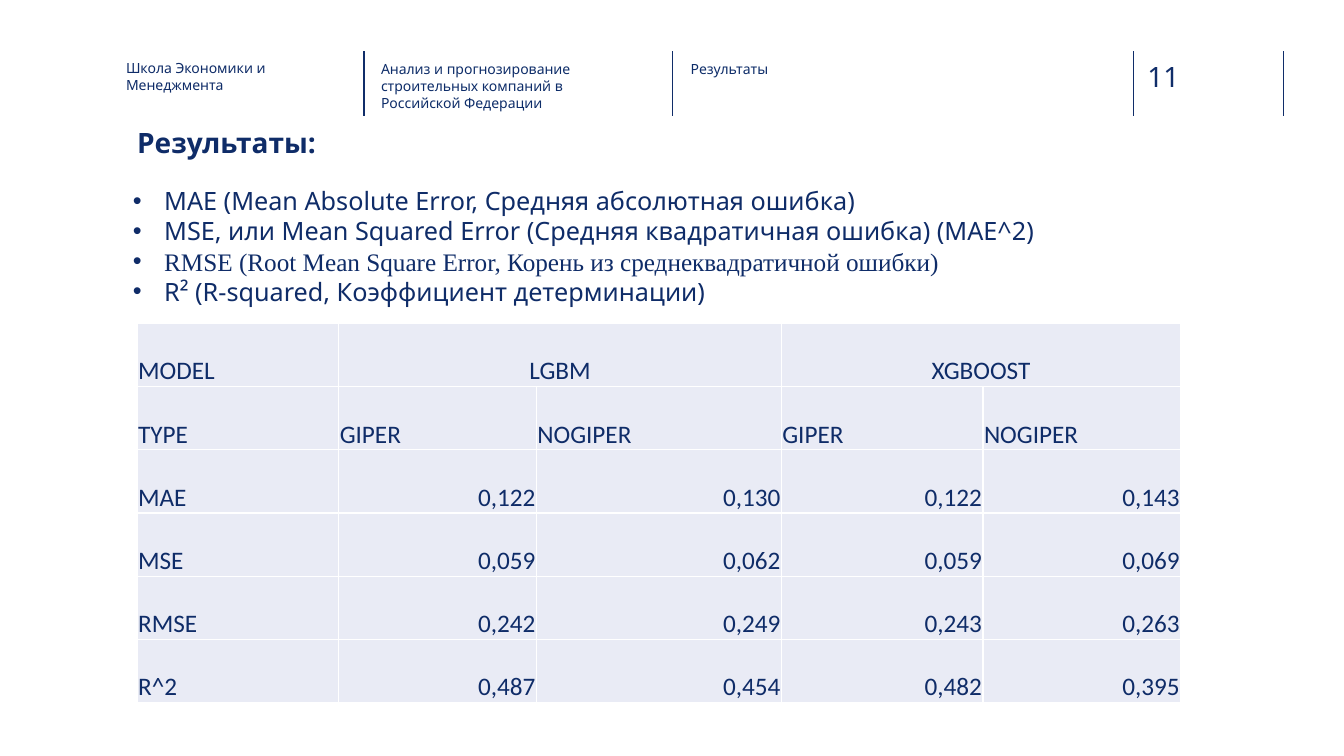
import lxml.etree
import pptx
import pptx.dml.color
import pptx.enum.shapes
import pptx.enum.text
import pptx.oxml.ns
import pptx.util

Inches = pptx.util.Inches
Pt = pptx.util.Pt
ALIGN = pptx.enum.text.PP_ALIGN

NAVY = "0F2C68"
HEADER_NAVY = "0E2D69"
RULE_NAVY = "102D69"
CELL_FILL = "E9EBF5"
WHITE = "FFFFFF"

HEADERS = [
    (1.25, 0.59, 2.08, "Школа Экономики и Менеджмента", NAVY),
    (3.78, 0.6, 2.26, "Анализ и прогнозирование строительных компаний в Российской Федерации",
     HEADER_NAVY),
    (6.85, 0.6, 2.26, "Результаты", HEADER_NAVY),
]
METRICS = [
    ("MAE (Mean Absolute Error, Средняя абсолютная ошибка)", "Noto Sans"),
    ("MSE, или Mean Squared Error (Средняя квадратичная ошибка) (MAE^2)", "Noto Sans"),
    ("RMSE (Root Mean Square Error, Корень из среднеквадратичной ошибки)", "Times New Roman"),
    ("R² (R-squared, Коэффициент детерминации)", "Noto Sans"),
]
COLUMN_WIDTHS = [2, 1.96, 2.43, 2, 1.96]
SCORES = [
    ["MODEL", "LGBM", "", "XGBOOST", ""],
    ["TYPE", "GIPER", "NOGIPER", "GIPER", "NOGIPER"],
    ["MAE", "0,122", "0,130", "0,122", "0,143"],
    ["MSE", "0,059", "0,062", "0,059", "0,069"],
    ["RMSE", "0,242", "0,249", "0,243", "0,263"],
    ["R^2", "0,487", "0,454", "0,482", "0,395"],
]


def rgb(value):
    return pptx.dml.color.RGBColor.from_string(value)


def add_child(parent, tag, **attributes):
    child = lxml.etree.SubElement(parent, pptx.oxml.ns.qn(tag))
    for name, value in attributes.items():
        child.set(name, str(value))
    return child


def style_paragraph(para, text, size, color, font="Noto Sans", bold=False):
    para.text = text
    para.font.size = Pt(size)
    para.font.name = font
    para.font.bold = bold
    para.font.color.rgb = rgb(color)


def add_box(slide, left, top, width, height):
    box = slide.shapes.add_textbox(Inches(left), Inches(top), Inches(width), Inches(height))
    box.text_frame.word_wrap = True
    return box.text_frame


def add_label(slide, left, top, width, height, text, size, color, bold=False):
    frame = add_box(slide, left, top, width, height)
    frame.margin_left = frame.margin_right = frame.margin_top = frame.margin_bottom = 0
    para = frame.paragraphs[0]
    style_paragraph(para, text, size, color, bold=bold)
    para.line_spacing = Pt(size * 1.22)


def add_header_rule(slide, x):
    rule = slide.shapes.add_connector(
        pptx.enum.shapes.MSO_CONNECTOR.STRAIGHT,
        Inches(x), Inches(0.51), Inches(x), Inches(1.15))
    rule.line.color.rgb = rgb(RULE_NAVY)
    rule.line.width = Pt(1)
    add_child(rule._element.spPr, "a:effectLst")


def add_metric_list(slide):
    frame = add_box(slide, 1.22, 1.79, 9.65, 1.31)
    for index, (text, font) in enumerate(METRICS):
        para = frame.paragraphs[0] if index == 0 else frame.add_paragraph()
        style_paragraph(para, text, 18, NAVY, font)
        para.line_spacing = Pt(21.6)
        properties = para._p.get_or_add_pPr()
        properties.set("marL", str(Inches(0.31)))
        properties.set("indent", str(Inches(-0.31)))
        bullet_font = add_child(properties, "a:buFont", typeface="Arial")
        bullet = add_child(properties, "a:buChar", char="•")
        properties.find(pptx.oxml.ns.qn("a:lnSpc")).addnext(bullet_font)
        bullet_font.addnext(bullet)


def add_borders(cell):
    properties = cell._tc.get_or_add_tcPr()
    for side in ("a:lnL", "a:lnR", "a:lnT", "a:lnB"):
        line = add_child(properties, side, w=Pt(1))
        add_child(add_child(line, "a:solidFill"), "a:srgbClr", val=WHITE)


def cell_alignment(row, column):
    if column == 0 or row == 1:
        return ALIGN.LEFT
    return ALIGN.CENTER if row == 0 else ALIGN.RIGHT


def add_score_table(slide):
    table = slide.shapes.add_table(
        len(SCORES), len(COLUMN_WIDTHS),
        Inches(1.36), Inches(3.21), Inches(sum(COLUMN_WIDTHS)), Inches(3.76)).table
    table.first_row = table.horz_banding = False
    for column, width in zip(table.columns, COLUMN_WIDTHS):
        column.width = Inches(width)
    for first in (1, 3):
        table.cell(0, first).merge(table.cell(0, first + 1))
    for row, values in enumerate(SCORES):
        for column, value in enumerate(values):
            cell = table.cell(row, column)
            add_borders(cell)
            cell.fill.solid()
            cell.fill.fore_color.rgb = rgb(CELL_FILL)
            cell.margin_left = cell.margin_right = cell.margin_top = Inches(0.01)
            cell.margin_bottom = 0
            cell.vertical_anchor = pptx.enum.text.MSO_ANCHOR.BOTTOM
            if value:
                para = cell.text_frame.paragraphs[0]
                style_paragraph(para, value, 18, NAVY, "Calibri")
                para.alignment = cell_alignment(row, column)


def main():
    deck = pptx.Presentation()
    deck.slide_width = Inches(13.33)
    deck.slide_height = Inches(7.5)
    slide = deck.slides.add_slide(deck.slide_layouts[6])
    for x in (3.61, 6.67, 11.24, 12.73):
        add_header_rule(slide, x)
    add_label(slide, 11.38, 0.58, 0.73, 0.34, "11", 20, RULE_NAVY)
    for left, top, width, text, color in HEADERS:
        add_label(slide, left, top, width, 0.45, text, 10, color)
    add_label(slide, 1.36, 1.24, 9.65, 0.55, "Результаты:", 20, NAVY, bold=True)
    add_score_table(slide)
    add_metric_list(slide)
    deck.save("out.pptx")


if __name__ == "__main__":
    main()
